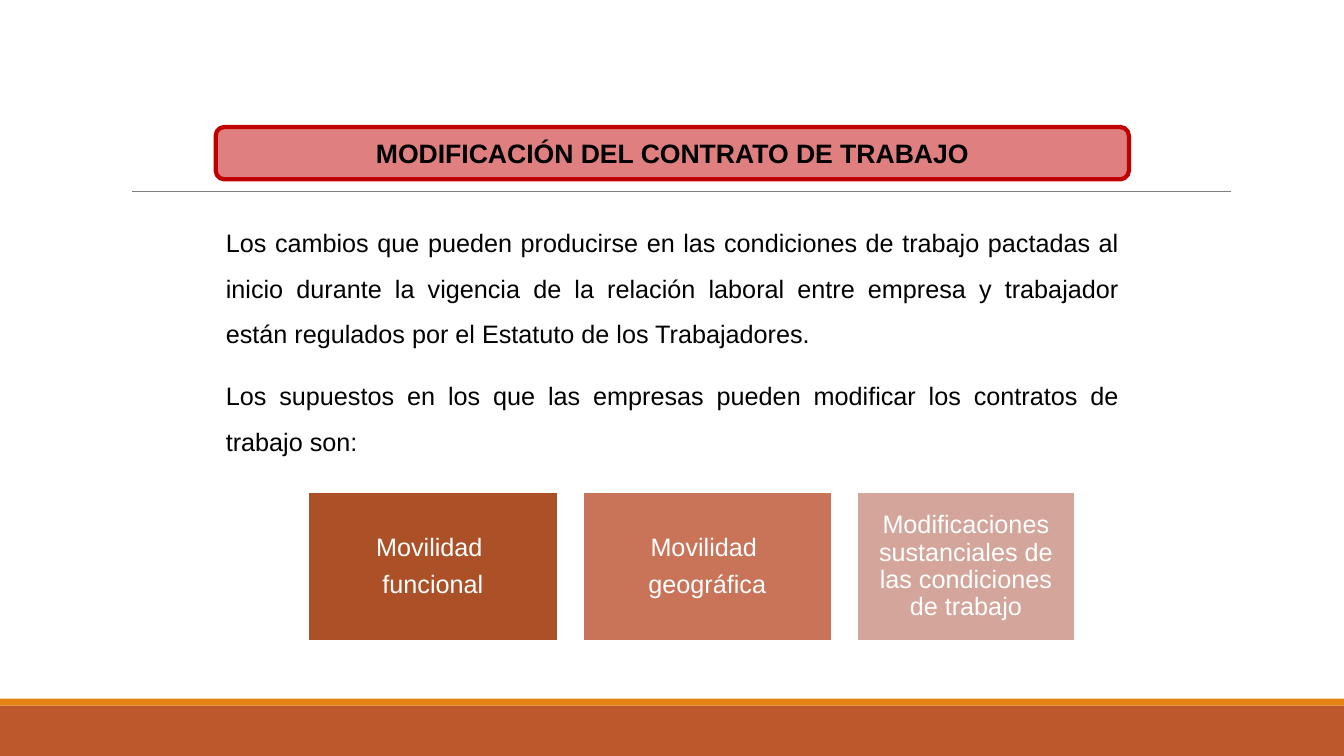
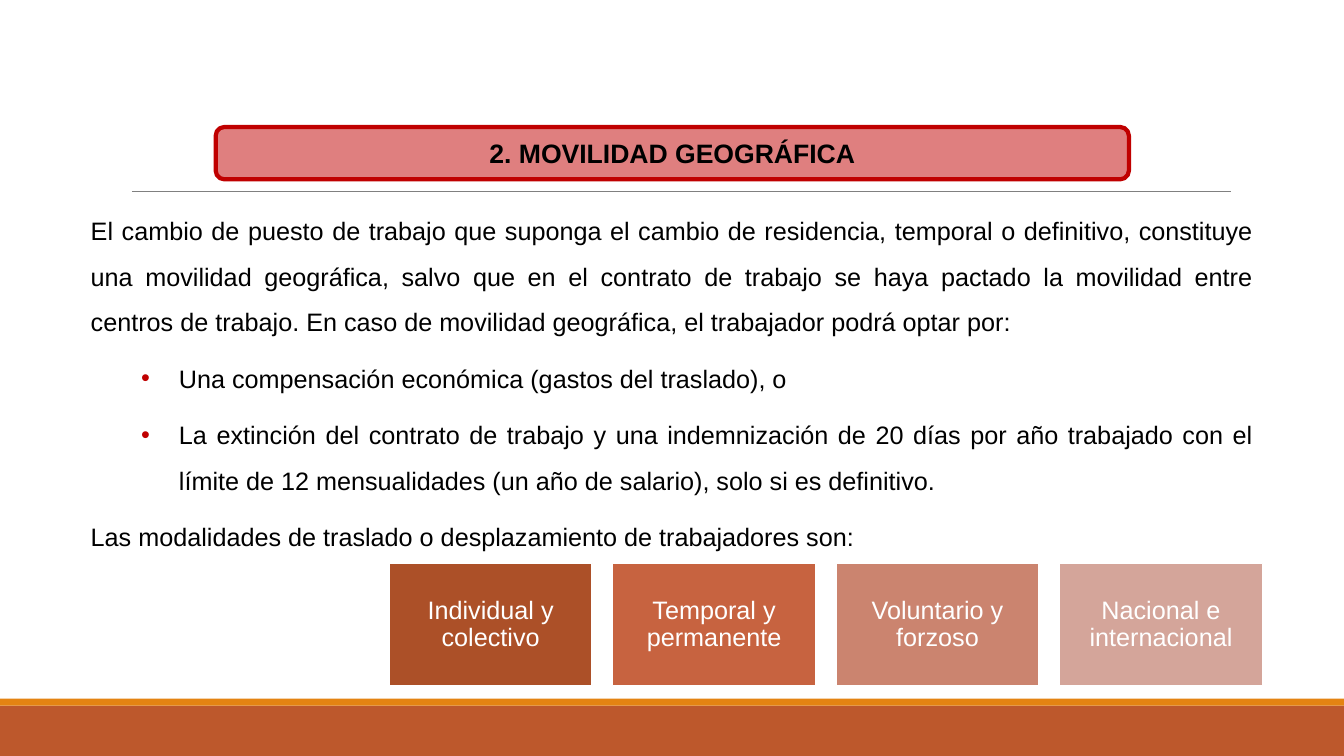
from dataclasses import dataclass
from typing import NamedTuple

from lxml.etree import SubElement
from pptx import Presentation
from pptx.dml.color import RGBColor
from pptx.enum.shapes import MSO_CONNECTOR, MSO_SHAPE
from pptx.enum.text import MSO_ANCHOR, MSO_AUTO_SIZE, PP_ALIGN
from pptx.oxml.ns import qn
from pptx.shapes.autoshape import Shape
from pptx.slide import Slide, SlideLayout
from pptx.util import Pt

HUES = {
    "black": "000000",
    "white": "FFFFFF",
    "red": "C00000",
    "rust": "BD582C",
    "orange": "E48312",
    "gray": "808080",
    "brown": "AC5028",
    "brick": "C76340",
    "clay": "C97358",
    "coral": "CB846F",
    "rose": "D4A59A",
}
FONT = "Arial"


class Area(NamedTuple):
    left: float
    top: float
    width: float
    height: float


@dataclass
class Item:
    text: str
    mark: bool = False
    before: float = 2


@dataclass
class Tile:
    lines: list[str]
    hue: str
    width: float


@dataclass
class Page:
    title: str
    area: Area
    items: list[Item]
    left: float
    top: float
    height: float
    gap: float
    tiles: list[Tile]


TITLE = Area(154.1, 90.7, 652.3, 37.4)

PAGES = [
    Page(
        "MODIFICACIÓN DEL CONTRATO DE TRABAJO",
        Area(154.1, 148.3, 652.3, 182.9),
        [
            Item(
                "Los cambios que pueden producirse en las condiciones de trabajo "
                "pactadas al inicio durante la vigencia de la relación laboral entre "
                "empresa y trabajador están regulados por el Estatuto de los Trabajadores."
            ),
            Item(
                "Los supuestos en los que las empresas pueden modificar los "
                "contratos de trabajo son:",
                before=6,
            ),
        ],
        220.2, 351.4, 106.6, 18,
        [
            Tile(["Movilidad ", "funcional"], "brown", 178),
            Tile(["Movilidad ", "geográfica"], "clay", 178),
            Tile(["Modificaciones sustanciales de las condiciones de trabajo"], "rose", 155.5),
        ],
    ),
    Page(
        "2. MOVILIDAD GEOGRÁFICA",
        Area(57.6, 139.7, 844.6, 260.6),
        [
            Item(
                "El cambio de puesto de trabajo que suponga el cambio de residencia, "
                "temporal o definitivo, constituye una movilidad geográfica, salvo que "
                "en el contrato de trabajo se haya pactado la movilidad entre centros "
                "de trabajo. En caso de movilidad geográfica, el trabajador podrá optar por:"
            ),
            Item("Una compensación económica (gastos del traslado), o", True),
            Item(
                "La extinción del contrato de trabajo y una indemnización de 20 días "
                "por año trabajado con el límite de 12 mensualidades (un año de "
                "salario), solo si es definitivo.",
                True,
            ),
            Item("Las modalidades de traslado o desplazamiento de trabajadores son:"),
        ],
        277.9, 402.5, 87.1, 14.4,
        [
            Tile(["Individual y colectivo"], "brown", 145.2),
            Tile(["Temporal y permanente"], "brick", 145.2),
            Tile(["Voluntario y forzoso"], "coral", 145.2),
            Tile(["Nacional e internacional"], "rose", 145.2),
        ],
    ),
]


def tint(name: str) -> RGBColor:
    return RGBColor.from_string(HUES[name])


def place(shape: Shape, area: Area) -> None:
    shape.left, shape.top, shape.width, shape.height = map(Pt, area)


def style(para, size: float, hue: str, bold: bool = False) -> None:
    font = para.font
    font.name, font.size, font.bold = FONT, Pt(size), bold
    font.color.rgb = tint(hue)


def block(slide: Slide, kind: MSO_SHAPE, area: Area, hue: str) -> Shape:
    shape = slide.shapes.add_shape(kind, *map(Pt, area))
    shape.shadow.inherit = False
    shape.fill.solid()
    shape.fill.fore_color.rgb = tint(hue)
    shape.line.fill.background()
    return shape


def edge(shape, hue: str, width: float) -> None:
    shape.line.color.rgb = tint(hue)
    shape.line.width = Pt(width)


def frame(slide: Slide, layout: SlideLayout) -> None:
    base = block(slide, MSO_SHAPE.RECTANGLE, Area(0, 504, 960, 36), "rust")
    strip = block(slide, MSO_SHAPE.RECTANGLE, Area(0, 499, 960, 5), "orange")
    rule = slide.shapes.add_connector(
        MSO_CONNECTOR.STRAIGHT, Pt(94.3), Pt(136.8), Pt(879.1), Pt(136.8)
    )
    edge(rule, "gray", 0.5)
    SubElement(rule.element.spPr, qn("a:effectLst"))
    plate = block(slide, MSO_SHAPE.ROUNDED_RECTANGLE, TITLE, "red")
    edge(plate, "red", 3)
    color = plate.element.spPr.find(qn("a:solidFill")).find(qn("a:srgbClr"))
    SubElement(color, qn("a:alpha"), val="50000")
    for spare in list(layout.placeholders)[2:]:
        layout.shapes.element.remove(spare.element)
    for shape in (base, strip, rule, plate):
        layout.shapes.element.append(shape.element)


def head(slide: Slide, text: str) -> None:
    title = slide.shapes.title
    place(title, TITLE)
    title.text = text
    box = title.text_frame
    box.auto_size = MSO_AUTO_SIZE.NONE
    box.vertical_anchor = MSO_ANCHOR.MIDDLE
    box.paragraphs[0].alignment = PP_ALIGN.CENTER
    style(box.paragraphs[0], 19, "black", True)


def point(para, mark: bool) -> None:
    props = para._p.get_or_add_pPr()
    props.set("marL", str(Pt(63 if mark else 0)))
    props.set("indent", str(Pt(-27 if mark else 0)))
    if mark:
        color = SubElement(props, qn("a:buClr"))
        SubElement(color, qn("a:srgbClr"), val=HUES["red"])
        SubElement(props, qn("a:buFont"), typeface=FONT)
        SubElement(props, qn("a:buChar"), char="•")
    else:
        SubElement(props, qn("a:buNone"))


def prose(slide: Slide, page: Page) -> None:
    body = slide.placeholders[1]
    place(body, page.area)
    box = body.text_frame
    box.text = "\n".join(item.text for item in page.items)
    box.auto_size = MSO_AUTO_SIZE.NONE
    box.vertical_anchor = MSO_ANCHOR.TOP
    for rank, (para, item) in enumerate(zip(box.paragraphs, page.items)):
        para.alignment = PP_ALIGN.JUSTIFY
        para.line_spacing = 1.5
        para.space_before = Pt(item.before if rank else 0)
        para.space_after = Pt(6)
        para.level = int(item.mark)
        point(para, item.mark)
        style(para, 18, "black")


def row(slide: Slide, page: Page) -> None:
    left = page.left
    for tile in page.tiles:
        area = Area(left, page.top, tile.width, page.height)
        shape = block(slide, MSO_SHAPE.RECTANGLE, area, tile.hue)
        edge(shape, "white", 1.25)
        box = shape.text_frame
        box.text = "\n".join(tile.lines)
        box.word_wrap = True
        box.vertical_anchor = MSO_ANCHOR.MIDDLE
        box.margin_left = box.margin_right = Pt(5)
        box.margin_top = box.margin_bottom = Pt(5)
        for rank, para in enumerate(box.paragraphs):
            para.alignment = PP_ALIGN.CENTER
            para.line_spacing = 0.9
            para.space_before = Pt(7 if rank else 0)
            style(para, 18, "white")
        left += tile.width + page.gap


def main() -> None:
    deck = Presentation()
    deck.slide_width, deck.slide_height = Pt(960), Pt(540)
    layout = deck.slide_layouts[1]
    for rank, page in enumerate(PAGES):
        slide = deck.slides.add_slide(layout)
        if rank == 0:
            frame(slide, layout)
        head(slide, page.title)
        prose(slide, page)
        row(slide, page)
    deck.save("out.pptx")


if __name__ == "__main__":
    main()
